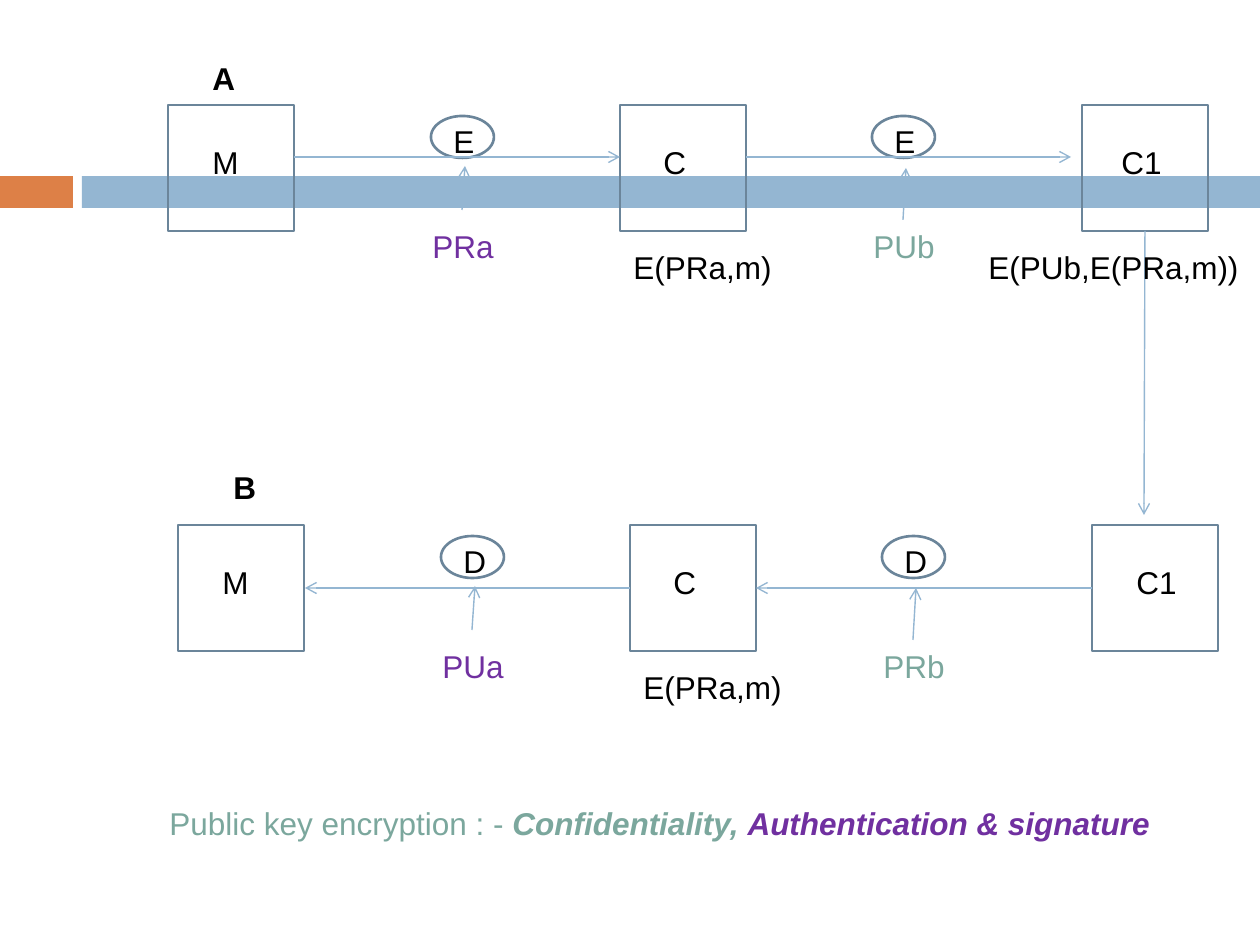
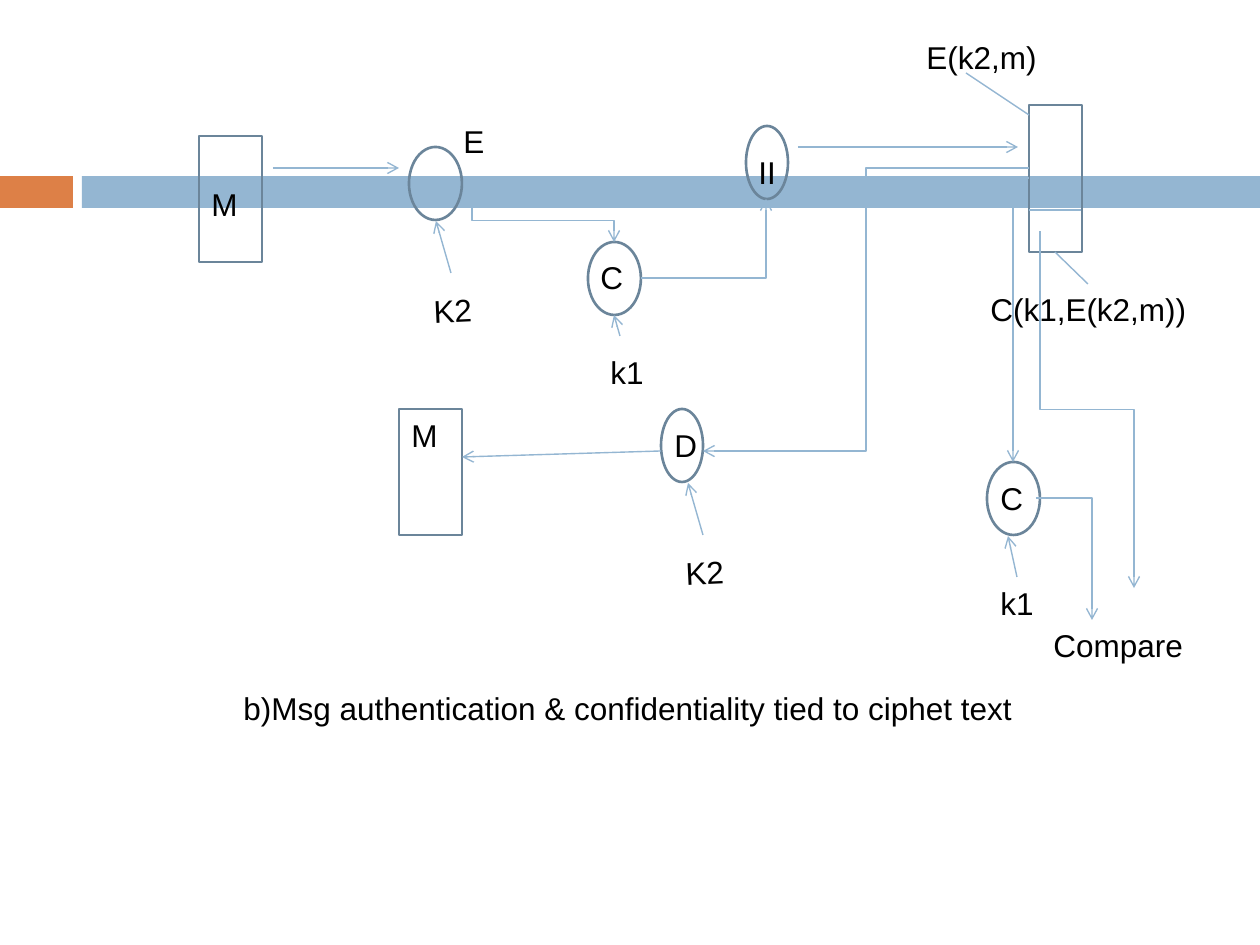
from dataclasses import dataclass

from lxml import etree
from pptx import Presentation
from pptx.dml.color import RGBColor
from pptx.enum import shapes, text
from pptx.oxml import ns
from pptx.util import Emu, Pt

PX = 914400 / 126


@dataclass(frozen=True)
class Theme:
    ink: str = "000000"
    outline: str = "6B859A"
    band: str = "94B6D2"
    accent: str = "DD8047"
    sender_key: str = "7030A0"
    receiver_key: str = "7BA79D"
    font: str = "Arial"
    size: float = 18
    outline_width: float = 1.5
    arrow_width: float = 0.79


THEME = Theme()


@dataclass(frozen=True)
class Span:
    text: str
    color: str = THEME.ink
    bold: bool = False
    italic: bool = False


@dataclass(frozen=True)
class Label:
    left: int
    top: int
    width: int
    spans: tuple[Span, ...]
    rotation: float = 0


@dataclass(frozen=True)
class Node:
    left: int
    top: int
    width: int
    height: int
    kind: shapes.MSO_SHAPE = shapes.MSO_SHAPE.RECTANGLE


@dataclass(frozen=True)
class Arrow:
    start: tuple[int, int]
    end: tuple[int, int]
    route: str = "straight"
    head: bool = True


@dataclass(frozen=True)
class CipherRow:
    left: int
    top: int
    operation: str
    sender_key: str
    receiver_key: str


OVAL = shapes.MSO_SHAPE.OVAL


def px(*values: float) -> list[Emu]:
    return [Emu(round(value * PX)) for value in values]


def label(left: int, top: int, width: int, words: str, color: str = THEME.ink,
          bold: bool = False, rotation: float = 0) -> Label:
    return Label(left, top, width, (Span(words, color, bold),), rotation)


def draw_label(page, item: Label) -> None:
    box = page.shapes.add_textbox(*px(item.left, item.top, item.width, 50))
    box.rotation = item.rotation
    frame = box.text_frame
    frame.word_wrap = True
    frame.auto_size = text.MSO_AUTO_SIZE.SHAPE_TO_FIT_TEXT
    para = frame.paragraphs[0]
    for span in item.spans:
        run = para.add_run()
        run.text = span.text
        run.font.name = THEME.font
        run.font.size = Pt(THEME.size)
        run.font.bold = span.bold
        run.font.italic = span.italic
        run.font.color.rgb = RGBColor.from_string(span.color)


def draw_node(page, item: Node) -> None:
    shape = page.shapes.add_shape(
        item.kind, *px(item.left, item.top, item.width, item.height))
    shape.shadow.inherit = False
    shape.fill.background()
    shape.line.color.rgb = RGBColor.from_string(THEME.outline)
    shape.line.width = Pt(THEME.outline_width)


def draw_arrow(page, item: Arrow) -> None:
    (x1, y1), (x2, y2) = item.start, item.end
    kind = shapes.MSO_CONNECTOR.ELBOW
    if item.route == "straight":
        kind = shapes.MSO_CONNECTOR.STRAIGHT
    if item.route == "down-across-down":
        center_x, center_y = (x1 + x2) / 2, (y1 + y2) / 2
        half_x, half_y = (x2 - x1) / 2, (y2 - y1) / 2
        x1, x2 = center_x - half_y, center_x + half_y
        y1, y2 = center_y - half_x, center_y + half_x
    connector = page.shapes.add_connector(kind, *px(x1, y1, x2, y2))
    properties = connector.element.spPr
    if item.route == "down-across-down":
        transform = properties.find(ns.qn("a:xfrm"))
        transform.set("rot", "16200000")
        transform.set("flipH", "1")
    if item.route == "across-down":
        properties.find(ns.qn("a:prstGeom")).set("prst", "bentConnector2")
    connector.line.color.rgb = RGBColor.from_string(THEME.band)
    connector.line.width = Pt(THEME.arrow_width)
    if item.head:
        line = properties.find(ns.qn("a:ln"))
        etree.SubElement(line, ns.qn("a:tailEnd"), type="arrow")
    etree.SubElement(properties, ns.qn("a:effectLst"))


def draw_all(page, nodes: list[Node], arrows: list[Arrow],
             labels: list[Label]) -> None:
    for node in nodes:
        draw_node(page, node)
    for arrow in arrows:
        draw_arrow(page, arrow)
    for item in labels:
        draw_label(page, item)


def add_bands(page) -> None:
    layout_tree = page.slide_layout.shapes.element
    for left, width, color in ((0, 73, THEME.accent), (82, 1178, THEME.band)):
        band = page.shapes.add_shape(
            shapes.MSO_SHAPE.RECTANGLE, *px(left, 176, width, 32))
        band.shadow.inherit = False
        band.fill.solid()
        band.fill.fore_color.rgb = RGBColor.from_string(color)
        band.line.fill.background()
        layout_tree.append(band.element)


def draw_cipher_row(page, row: CipherRow) -> None:
    x, y = row.left, row.top
    nodes = [Node(x + offset, y, 126, 126) for offset in (0, 452, 914)]
    arrows = []
    labels = [
        label(x + 32, y + 32, 60, "M"),
        label(x + 483, y + 32, 56, "C"),
        label(x + 453, y + 137, 180, "E(PRa,m)"),
    ]
    stages = (
        (x + 263, row.sender_key, THEME.sender_key, 105, 61),
        (x + 704, row.receiver_key, THEME.receiver_key, 115, 63),
    )
    for left, key, color, tail, tip in stages:
        nodes.append(Node(left, y + 11, 63, 42, OVAL))
        arrows.append(Arrow((left + 31, y + tail), (left + 34, y + tip)))
        labels.append(label(left + 10, y + 11, 56, row.operation))
        labels.append(label(left - 11, y + 116, 96, key, color))
    draw_all(page, nodes, arrows, labels)


def build_public_key(page) -> None:
    draw_cipher_row(page, CipherRow(168, 105, "E", "PRa", "PUb"))
    draw_cipher_row(page, CipherRow(178, 525, "D", "PUa", "PRb"))
    arrows = [
        Arrow((294, 157), (620, 157)),
        Arrow((746, 157), (1071, 157)),
        Arrow((1145, 231), (1144, 515)),
        Arrow((1092, 588), (756, 588)),
        Arrow((630, 588), (305, 588)),
    ]
    caption = (
        Span("Public key encryption : - ", THEME.receiver_key),
        Span("Confidentiality, ", THEME.receiver_key, True, True),
        Span("Authentication & signature", THEME.sender_key, True, True),
    )
    labels = [
        label(200, 53, 56, "A", bold=True),
        label(221, 462, 56, "B", bold=True),
        label(1109, 137, 76, "C1"),
        label(1124, 557, 76, "C1"),
        label(976, 242, 284, "E(PUb,E(PRa,m))"),
        Label(157, 798, 1071, caption),
    ]
    draw_all(page, [], arrows, labels)


def build_message_authentication(page) -> None:
    nodes = [
        Node(199, 136, 63, 126),
        Node(399, 409, 63, 126),
        Node(1029, 105, 53, 147),
        Node(409, 147, 53, 73, OVAL),
        Node(588, 242, 53, 73, OVAL),
        Node(987, 462, 53, 73, OVAL),
        Node(746, 126, 42, 73, OVAL),
        Node(661, 409, 42, 73, OVAL),
    ]
    arrows = [
        Arrow((451, 273), (436, 221)),
        Arrow((273, 168), (399, 168)),
        Arrow((620, 336), (614, 315)),
        Arrow((798, 147), (1018, 147)),
        Arrow((1017, 577), (1008, 536)),
        Arrow((703, 535), (688, 483)),
        Arrow((661, 451), (462, 457)),
        Arrow((1029, 210), (1081, 210), head=False),
        Arrow((966, 73), (1029, 115), head=False),
        Arrow((1055, 252), (1088, 284), head=False),
        Arrow((641, 278), (766, 199), "across-down"),
        Arrow((1029, 178), (1013, 462), "across-down"),
        Arrow((1036, 498), (1092, 620), "across-down"),
        Arrow((1029, 168), (703, 451), "across-down-across"),
        Arrow((472, 199), (614, 242), "down-across-down"),
        Arrow((1040, 231), (1134, 588), "down-across-down"),
    ]
    labels = [
        label(199, 179, 60, "M"),
        label(451, 116, 78, "E"),
        label(421, 285, 70, "K2", rotation=357.4),
        label(588, 252, 56, "C"),
        label(746, 147, 54, "II"),
        label(598, 347, 91, "k1"),
        label(914, 32, 278, "E(k2,m)"),
        label(978, 284, 240, "C(k1,E(k2,m))"),
        label(399, 410, 60, "M"),
        label(988, 473, 56, "C"),
        label(988, 578, 76, "k1"),
        label(662, 420, 56, "D"),
        label(673, 547, 70, "K2", rotation=357.4),
        label(1041, 620, 170, "Compare"),
        label(231, 683, 955,
              "b)Msg authentication & confidentiality tied to ciphet text"),
    ]
    draw_all(page, nodes, arrows, labels)


def main() -> None:
    deck = Presentation()
    deck.slide_width, deck.slide_height = px(1260, 945)
    blank = deck.slide_layouts[6]
    first, second = (deck.slides.add_slide(blank) for _ in range(2))
    add_bands(first)
    build_public_key(first)
    build_message_authentication(second)
    deck.save("out.pptx")


if __name__ == "__main__":
    main()
